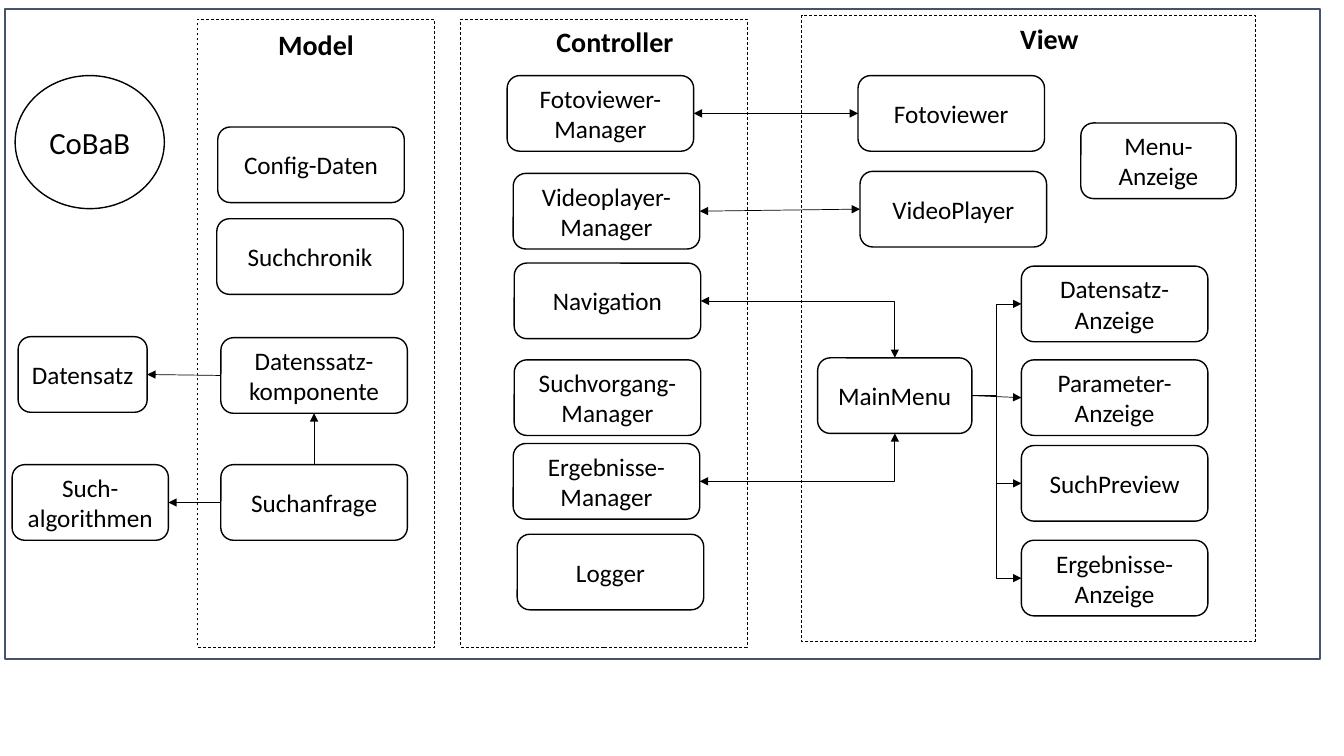
from lxml import etree
from pptx import Presentation
from pptx.dml.color import RGBColor
from pptx.enum.dml import MSO_LINE_DASH_STYLE as DASH
from pptx.enum.shapes import MSO_CONNECTOR as WIRE, MSO_SHAPE as SHAPE
from pptx.enum.text import MSO_ANCHOR, MSO_AUTO_SIZE, PP_ALIGN
from pptx.oxml.ns import qn
from pptx.util import Inches, Pt

BLACK = RGBColor(0x00, 0x00, 0x00)
WHITE = RGBColor(0xFF, 0xFF, 0xFF)
SLATE = RGBColor(0x44, 0x54, 0x6A)

BOX_W, BOX_H = 1.85, 0.75
TOP, LEFT, BOTTOM, RIGHT = range(4)  # connection sites of a box

prs = Presentation()
prs.slide_width, prs.slide_height = Inches(13.33), Inches(7.5)
slide = prs.slides.add_slide(prs.slide_layouts[6])
shapes = slide.shapes


def write(frame, text, size=18, bold=False, align=PP_ALIGN.CENTER, anchor=MSO_ANCHOR.MIDDLE):
    frame.word_wrap = True
    frame.vertical_anchor = anchor
    paragraph = frame.paragraphs[0]
    paragraph.alignment = align
    run = paragraph.add_run()
    run.text = text
    run.font.name, run.font.size, run.font.bold = "Calibri", Pt(size), bold
    run.font.color.rgb = BLACK


def outline(preset, at, fill=None, color=BLACK, weight=1, dash=None):
    """Add a preset shape; without a fill colour it stays see-through."""
    shape = shapes.add_shape(preset, *map(Inches, at))
    shape.shadow.inherit = False
    if fill is None:
        shape.fill.background()
    else:
        shape.fill.solid()
        shape.fill.fore_color.rgb = fill
    shape.line.color.rgb, shape.line.width = color, Pt(weight)
    if dash:
        shape.line.dash_style = dash
    return shape


# Components: column left edge, column width, then (text, top, shift from the column edge)
columns = [
    (0.18, 1.28, [("Datensatz", 3.34, 0)]),
    (0.12, 1.55, [("Such-algorithmen", 4.61, 0)]),
    (2.19, BOX_W, [
        ("Config-Daten", 1.26, -0.03), ("Suchchronik", 2.17, -0.04),
        ("Datenssatz-komponente", 3.35, 0), ("Suchanfrage", 4.61, 0)]),
    (5.1, BOX_W, [
        ("Fotoviewer-Manager", 0.75, -0.07), ("Videoplayer-Manager", 1.72, -0.01),
        ("Navigation", 2.61, 0), ("Suchvorgang-Manager", 3.57, 0),
        ("Ergebnisse-Manager", 4.4, -0.01), ("Logger", 5.3, 0.03)]),
    (8.51, BOX_W, [("Fotoviewer", 0.75, 0), ("VideoPlayer", 1.7, 0.02)]),
    (8.11, 1.53, [("MainMenu", 3.55, 0)]),
    (10.13, BOX_W, [
        ("Datensatz-Anzeige", 2.64, 0), ("Parameter-Anzeige", 3.57, 0),
        ("SuchPreview", 4.42, 0), ("Ergebnisse-Anzeige", 5.36, 0)]),
    (10.72, 1.54, [("Menu-Anzeige", 1.22, 0)]),
]
components = {}
for left, width, members in columns:
    for name, top, shift in members:
        box = outline(SHAPE.ROUNDED_RECTANGLE, (left + shift, top, width, BOX_H), fill=WHITE)
        write(box.text_frame, name)
        components[name] = box

# Links: source, its site, target, its site, preset geometry, arrow at both ends
links = [
    ("Suchanfrage", LEFT, "Such-algorithmen", RIGHT, "line", False),
    ("Datenssatz-komponente", LEFT, "Datensatz", RIGHT, "line", False),
    ("Suchanfrage", TOP, "Datenssatz-komponente", BOTTOM, "line", False),
    ("Fotoviewer-Manager", RIGHT, "Fotoviewer", LEFT, "line", True),
    ("Videoplayer-Manager", RIGHT, "VideoPlayer", LEFT, "line", True),
    ("Navigation", RIGHT, "MainMenu", TOP, "bentConnector2", True),
    ("Ergebnisse-Manager", RIGHT, "MainMenu", BOTTOM, "bentConnector2", True),
    ("MainMenu", RIGHT, "Datensatz-Anzeige", LEFT, "bentConnector3", False),
    ("MainMenu", RIGHT, "Parameter-Anzeige", LEFT, "line", False),
    ("MainMenu", RIGHT, "SuchPreview", LEFT, "bentConnector3", False),
    ("MainMenu", RIGHT, "Ergebnisse-Anzeige", LEFT, "bentConnector3", False),
]
for source, source_site, target, target_site, geometry, both_ends in links:
    kind = WIRE.STRAIGHT if geometry == "line" else WIRE.ELBOW
    link = shapes.add_connector(kind, 0, 0, 0, 0)
    link.begin_connect(components[source], source_site)
    link.end_connect(components[target], target_site)
    link.line.color.rgb, link.line.width = BLACK, Pt(0.5)
    properties = link._element.spPr
    properties.find(qn("a:prstGeom")).set("prst", geometry)
    ends = ("a:headEnd", "a:tailEnd") if both_ends else ("a:tailEnd",)
    for end in ends:
        etree.SubElement(properties.find(qn("a:ln")), qn(end), type="triangle")
    etree.SubElement(properties, qn("a:effectLst"))

# Layers: title, its place, dashed frame
layers = [
    ("Model", (2.66, 0.22, 1.21, 0.44), (1.96, 0.19, 2.35, 6.23)),
    ("Controller", (5.42, 0.19, 1.47, 0.44), (4.57, 0.19, 2.84, 6.23)),
    ("View", (10.02, 0.16, 1.21, 0.44), (7.95, 0.15, 4.5, 6.21)),
]
for title, title_at, frame_at in layers:
    heading = shapes.add_textbox(*map(Inches, title_at)).text_frame
    write(heading, title, size=20, bold=True, align=PP_ALIGN.LEFT, anchor=MSO_ANCHOR.TOP)
    heading.auto_size = MSO_AUTO_SIZE.SHAPE_TO_FIT_TEXT
    outline(SHAPE.RECTANGLE, frame_at, weight=0.5, dash=DASH.DASH)

system = outline(SHAPE.OVAL, (0.15, 0.75, 1.48, 1.32), fill=WHITE)
write(system.text_frame, "CoBaB", size=22)
outline(SHAPE.RECTANGLE, (0.05, 0.09, 13.04, 6.45), color=SLATE, weight=1.5)

prs.save("out.pptx")
